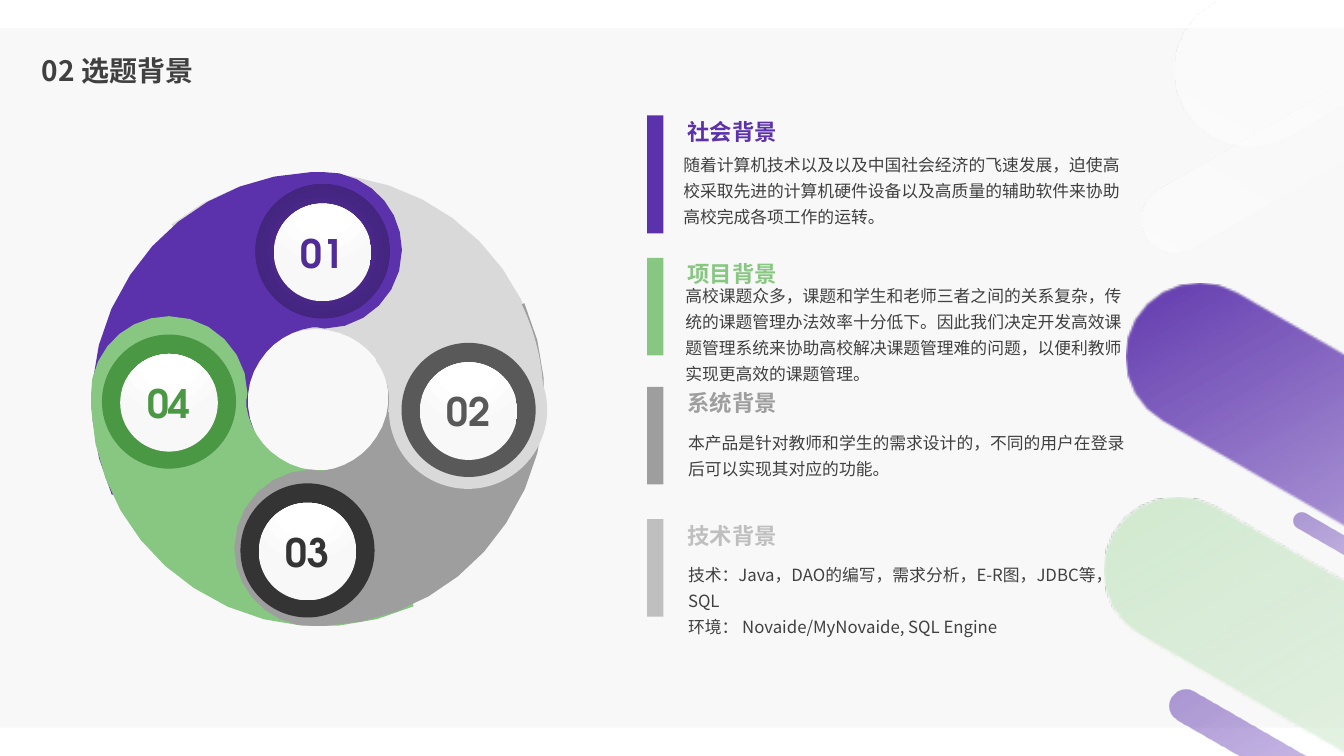
import math
import lxml.etree
import pptx
import pptx.dml.color
import pptx.enum.shapes
import pptx.enum.text
import pptx.oxml.ns
import pptx.util

Cm, Pt = pptx.util.Cm, pptx.util.Pt
RGB = pptx.dml.color.RGBColor
SHAPE = pptx.enum.shapes.MSO_SHAPE
ALIGN = pptx.enum.text.PP_ALIGN
ANCHOR = pptx.enum.text.MSO_ANCHOR
FIT = pptx.enum.text.MSO_AUTO_SIZE
qn = pptx.oxml.ns.qn

WHITE = RGB(0xFF, 0xFF, 0xFF)
PALE = RGB(0xF8, 0xF8, 0xF8)
INK = RGB(0x40, 0x40, 0x40)
PURPLE = RGB(0x5B, 0x32, 0xAB)
VIOLET = RGB(0x5F, 0x34, 0xB2)
PLUM = RGB(0x51, 0x2C, 0x98)
DUSK = RGB(0x44, 0x25, 0x80)
NIGHT = RGB(0x40, 0x23, 0x78)
GREEN = RGB(0x87, 0xC7, 0x82)
FOREST = RGB(0x4A, 0x97, 0x44)
MINT = RGB(0xD0, 0xE9, 0xCE)
GREY = RGB(0x9E, 0x9E, 0x9E)
SILVER = RGB(0xBF, 0xBF, 0xBF)
LIGHT = RGB(0xD9, 0xD9, 0xD9)
SLATE = RGB(0x59, 0x59, 0x59)
COAL = RGB(0x34, 0x34, 0x34)

# Gradient stops: position, colour, opacity (percent)
FADE = [(85, WHITE, 50), (100, WHITE, 50)]
DEEP = [(0, PURPLE, 100), (23, VIOLET, 40)] + FADE
SOFT = [(0, PURPLE, 50), (23, VIOLET, 40)] + FADE
LEAF = [(0, MINT, 100), (22, MINT, 50)] + FADE
MIST = [(0, WHITE, 50), (21, WHITE, 29), (85, WHITE, 0), (100, WHITE, 0)]
PEARL = [(0, WHITE, 100), (35, WHITE, 100), (100, PALE, 100)]
GRAPE = [(0, PLUM, 100), (23, PLUM, 100), (69, DUSK, 100), (97, NIGHT, 100)]

# Wheel arm: two numbers make a line, six make a curve
ARM = [
    (5.87, 0), (6.25, 0.03),
    (7.16, 0.23, 7.82, 1.02, 7.82, 1.96),
    (7.82, 3.05, 6.93, 3.94, 5.87, 3.94),
    (5.69, 3.91), (5.56, 3.91),
    (5.03, 3.99, 4.55, 4.27, 4.24, 4.75),
    (3.89, 5.26, 3.84, 5.94, 4.09, 6.5),
    (0.51, 8.13),
    (-0.3, 6.32, -0.13, 4.24, 0.97, 2.59),
    (1.98, 1.04, 3.66, 0.08, 5.51, 0),
]


def trace(steps, count=6):
    """Turn lines and cubic curves into a list of points."""
    dots = []
    for step in steps:
        if len(step) == 2:
            dots.append(step)
            continue
        ends = [dots[-1], step[:2], step[2:4], step[4:]]
        for i in range(1, count + 1):
            t = i / count
            mix = [math.comb(3, k) * t**k * (1 - t)**(3 - k) for k in range(4)]
            dots.append(tuple(sum(m * e[a] for m, e in zip(mix, ends)) for a in (0, 1)))
    return dots


def pill(wide, high, right):
    """Outline of a bar with one round end."""
    r = high / 2
    arc = [math.radians(a) for a in range(-90, 91, 15)]
    dots = [(0, 0)] + [(wide - r + r * math.cos(a), r + r * math.sin(a)) for a in arc]
    dots.append((0, high))
    return dots if right else [(wide - x, y) for x, y in dots]


class Deck:
    def __init__(self):
        self.file = pptx.Presentation()
        self.file.slide_width, self.file.slide_height = Cm(33.87), Cm(19.05)
        self.page = self.file.slides.add_slide(self.file.slide_layouts[5])
        self.pen = self.page.shapes

    def group(self):
        self.pen = self.page.shapes.add_group_shape().shapes

    def leave(self):
        self.pen = self.page.shapes

    def paint(self, shape, fill, angle=None, focus=50):
        """Fill with a colour, or with stops: linear by angle, else circular."""
        shape.shadow.inherit = False
        shape.line.fill.background()
        if isinstance(fill, RGB):
            shape.fill.solid()
            shape.fill.fore_color.rgb = fill
            return shape
        shape.fill.gradient()
        grad = shape.fill._xPr.find(qn("a:gradFill"))
        for part in list(grad):
            grad.remove(part)
        grad.set("rotWithShape", "1")
        stops = lxml.etree.SubElement(grad, qn("a:gsLst"))
        for place, tone, clear in fill:
            stop = lxml.etree.SubElement(stops, qn("a:gs"), pos=str(place * 1000))
            color = lxml.etree.SubElement(stop, qn("a:srgbClr"), val=str(tone))
            if clear < 100:
                lxml.etree.SubElement(color, qn("a:alpha"), val=str(clear * 1000))
        if angle is not None:
            lxml.etree.SubElement(grad, qn("a:lin"), ang=str(angle * 60000), scaled="0")
        else:
            ring = lxml.etree.SubElement(grad, qn("a:path"), path="circle")
            lxml.etree.SubElement(ring, qn("a:fillToRect"), l="50000", r="50000",
                                  t=str(focus * 1000), b=str((100 - focus) * 1000))
        return shape

    def shape(self, kind, x, y, wide, high, fill, **more):
        item = self.pen.add_shape(kind, Cm(x), Cm(y), Cm(wide), Cm(high))
        return self.paint(item, fill, **more)

    def free(self, dots, x, y, turn, fill, **more):
        spots = [(Cm(x + a), Cm(y + b)) for a, b in dots]
        path = self.pen.build_freeform(*spots[0])
        path.add_line_segments(spots[1:], close=True)
        item = path.convert_to_shape()
        item.rotation = turn
        return self.paint(item, fill, **more)

    def style(self, para, size, color, bold=False, face="Noto Sans CJK SC", lead=1.3):
        font = para.font
        font.size, font.bold, font.name = Pt(size), bold, face
        font.color.rgb = color
        lxml.etree.SubElement(font._rPr, qn("a:ea"), typeface="Noto Sans CJK SC")
        para.line_spacing = lead

    def title(self, words):
        item = self.page.shapes.title
        item.left, item.top, item.width, item.height = Cm(0.8), Cm(1.09), Cm(12.67), Cm(1.47)
        frame = item.text_frame
        frame.text = words
        frame.auto_size, frame.vertical_anchor = FIT.NONE, ANCHOR.MIDDLE
        para = frame.paragraphs[0]
        para.alignment, para.space_before = ALIGN.LEFT, Pt(10)
        self.style(para, 20, INK, True, lead=0.9)
        self.page.shapes._spTree.append(item._element)  # bring above the backdrop

    def text(self, x, y, wide, high, lines, size, color, wrap=True, **more):
        frame = self.pen.add_textbox(Cm(x), Cm(y), Cm(wide), Cm(high)).text_frame
        frame.text = "\n".join(lines)
        frame.word_wrap = wrap
        for para in frame.paragraphs:
            self.style(para, size, color, **more)

    def badge(self, x, y, label, fill, color):
        """Dark ring with a numbered pearl in its middle."""
        self.shape(SHAPE.OVAL, x, y, 3.38, 3.38, fill)
        pearl = self.shape(SHAPE.OVAL, x + 0.46, y + 0.49, 2.46, 2.46, PEARL, focus=-80)
        frame = pearl.text_frame
        frame.text = label
        frame.word_wrap, frame.vertical_anchor = False, ANCHOR.MIDDLE
        para = frame.paragraphs[0]
        para.alignment = ALIGN.CENTER
        self.style(para, 28, color, True, "TeX Gyre Adventor", 1)


PILLS = [
    (25.15, 19.26, 52.2, 3.73, 210, DEEP),
    (27.84, -6.73, 30.15, 3.84, 330, MIST),
    (27.99, 1.73, 13.39, 1.7, 330, MIST),
    (24.59, 24.65, 52.2, 3.73, 210, LEAF),
    (32.21, 14.35, 6.2, 0.43, 210, SOFT),
    (28.73, 20.14, 11.91, 0.84, 210, SOFT),
]
# Arm place, turn and fill, then badge place, label, fill and text colour
PARTS = [
    (2.31, 4.34, 0, PURPLE, (6.44, 4.64, "01", GRAPE, PLUM)),
    (2.44, 7.8, 270, GREEN, (2.57, 8.43, "04", FOREST, FOREST)),
    (5.88, 7.64, 180, GREY, (6.06, 12.18, "03", COAL, COAL)),
]
# Bar top and height, colour, heading, body place and lines
TOPICS = [
    (2.91, 2.97, PURPLE, "社会背景", 16.97, 3.61, 2.18,
     ["随着计算机技术以及以及中国社会经济的飞速发展，迫使高校采取先进的计算机硬件设备以及高质量的辅助软件来协助高校完成各项工作的运转。"]),
    (6.5, 2.46, GREEN, "项目背景", 17.02, 6.92, 2.87,
     ["高校课题众多，课题和学生和老师三者之间的关系复杂，传统的课题管理办法效率十分低下。因此我们决定开发高效课题管理系统来协助高校解决课题管理难的问题，以便利教师实现更高效的课题管理。"]),
    (9.75, 2.46, GREY, "系统背景", 17.09, 10.62, 1.52,
     ["本产品是针对教师和学生的需求设计的，不同的用户在登录后可以实现其对应的功能。"]),
    (13.08, 2.46, SILVER, "技术背景", 17.09, 13.95, 2.18,
     ["技术：Java，DAO的编写，需求分析，E-R图，JDBC等，SQL",
      "环境： Novaide/MyNovaide, SQL Engine"]),
]


def main():
    deck = Deck()
    deck.shape(SHAPE.RECTANGLE, 0, 0.71, 33.87, 17.63, PALE)
    for x, y, wide, high, turn, fill in PILLS:
        down = turn == 210
        deck.free(pill(wide, high, down), x, y, turn, fill, angle=210 if down else 330)
    arm = trace(ARM)
    deck.free(arm, 5.21, 3.84, 75, LIGHT)
    deck.title("02 选题背景")
    for x, y, turn, fill, badge in PARTS:
        deck.group()
        deck.free(arm, x, y, turn, fill)
        deck.badge(*badge)
    for top, high, color, head, x, y, tall, lines in TOPICS:
        deck.group()
        deck.text(x, y, 11.66, tall, lines, 12, INK)
        deck.text(17.08, top - 0.26, 2.79, 1.14, [head], 16, color, wrap=False,
                  bold=True, face="TeX Gyre Adventor")
        deck.shape(SHAPE.RECTANGLE, 16.31, top, 0.41, high, color)
    deck.leave()
    band = deck.shape(SHAPE.BLOCK_ARC, 2.57, 4.52, 11.13, 11.13, LIGHT)
    for i, value in enumerate((194.03, 6.13, 0.35)):
        band.adjustments[i] = value
    deck.group()
    deck.shape(SHAPE.OVAL, 9.8, 8.33, 3.99, 3.99, LIGHT)
    deck.badge(10.12, 8.64, "02", SLATE, SLATE)
    deck.file.save("out.pptx")


if __name__ == "__main__":
    main()
